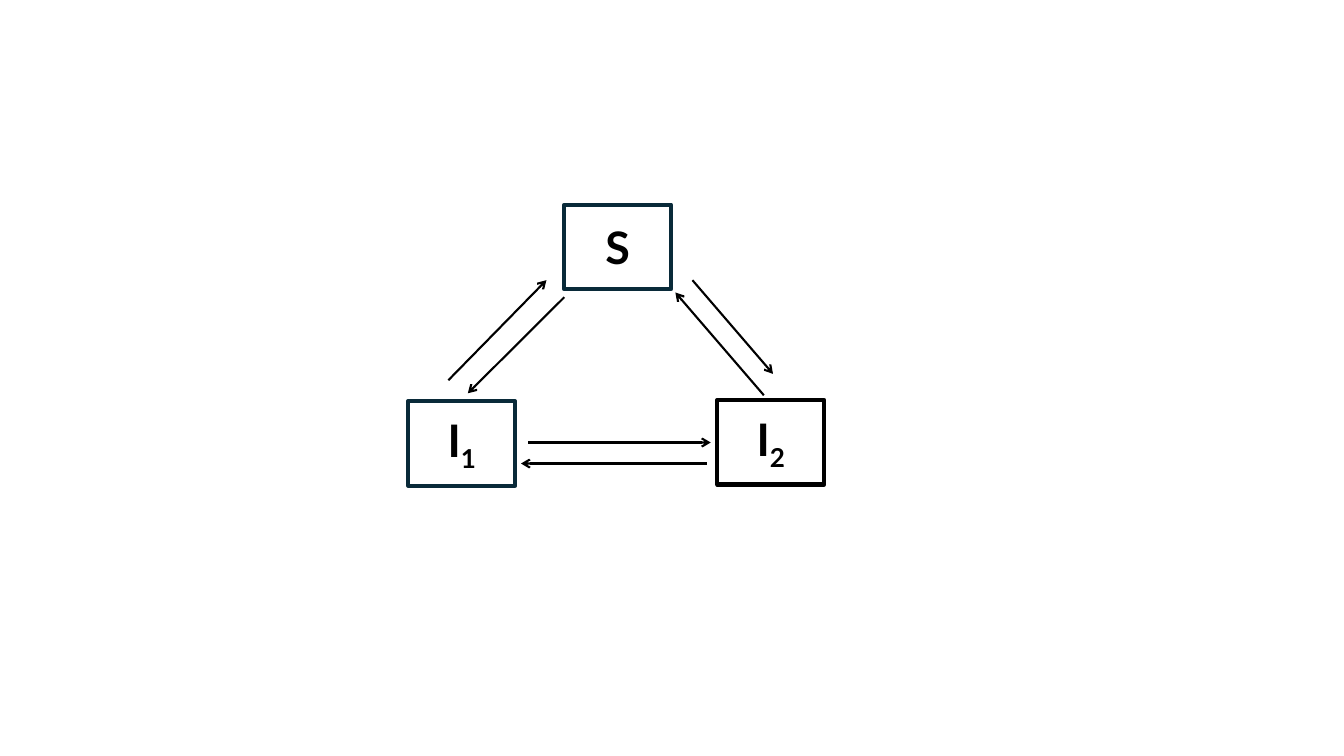
import pptx
import pptx.util
from pptx.dml.color import RGBColor
from pptx.enum.shapes import MSO_CONNECTOR, MSO_SHAPE
from pptx.enum.text import MSO_ANCHOR, PP_ALIGN
from pptx.oxml.ns import qn
from lxml import etree

Cm = pptx.util.Cm
Pt = pptx.util.Pt

BLACK = RGBColor(0x00, 0x00, 0x00)
NAVY = RGBColor(0x09, 0x2A, 0x39)

BOX_WIDTH, BOX_HEIGHT = 2.69, 2.13
COMPARTMENTS = [
    ("S", "", 14.22, 5.16, NAVY),
    ("I", "1", 10.29, 10.11, NAVY),
    ("I", "2", 18.08, 10.08, BLACK),
]
TRANSITIONS = [
    ((11.3, 9.58), (13.77, 7.06)),
    ((14.22, 7.49), (11.79, 9.91)),
    ((17.81, 11.68), (13.13, 11.68)),
    ((13.31, 11.15), (17.91, 11.15)),
    ((19.25, 9.96), (17.02, 7.37)),
    ((17.45, 7.06), (19.48, 9.42)),
]


def add_compartment(slide, letter, subscript, left, top, color):
    shape = slide.shapes.add_shape(
        MSO_SHAPE.RECTANGLE, Cm(left), Cm(top), Cm(BOX_WIDTH), Cm(BOX_HEIGHT))
    shape.shadow.inherit = False
    shape.fill.background()
    shape.line.color.rgb = color
    shape.line.width = Pt(3)
    shape.text_frame.vertical_anchor = MSO_ANCHOR.MIDDLE
    paragraph = shape.text_frame.paragraphs[0]
    paragraph.alignment = PP_ALIGN.CENTER
    paragraph.font.name = "Lato"
    paragraph.font.size = Pt(32)
    paragraph.font.bold = True
    paragraph.font.color.rgb = BLACK
    paragraph.add_run().text = letter
    if subscript:
        run = paragraph.add_run()
        run.text = subscript
        run.font._element.set("baseline", "-25000")


def add_transition(slide, start, end):
    connector = slide.shapes.add_connector(
        MSO_CONNECTOR.STRAIGHT, *(Cm(value) for value in start + end))
    connector.line.color.rgb = BLACK
    connector.line.width = Pt(1.5)
    line = connector.line._get_or_add_ln()
    etree.SubElement(line, qn("a:tailEnd"), type="arrow")
    etree.SubElement(connector._element.spPr, qn("a:effectLst"))


def main():
    presentation = pptx.Presentation()
    presentation.slide_width = Cm(33.87)
    presentation.slide_height = Cm(19.05)
    slide = presentation.slides.add_slide(presentation.slide_layouts[6])
    for compartment in COMPARTMENTS:
        add_compartment(slide, *compartment)
    for start, end in TRANSITIONS:
        add_transition(slide, start, end)
    presentation.save("out.pptx")


if __name__ == "__main__":
    main()
